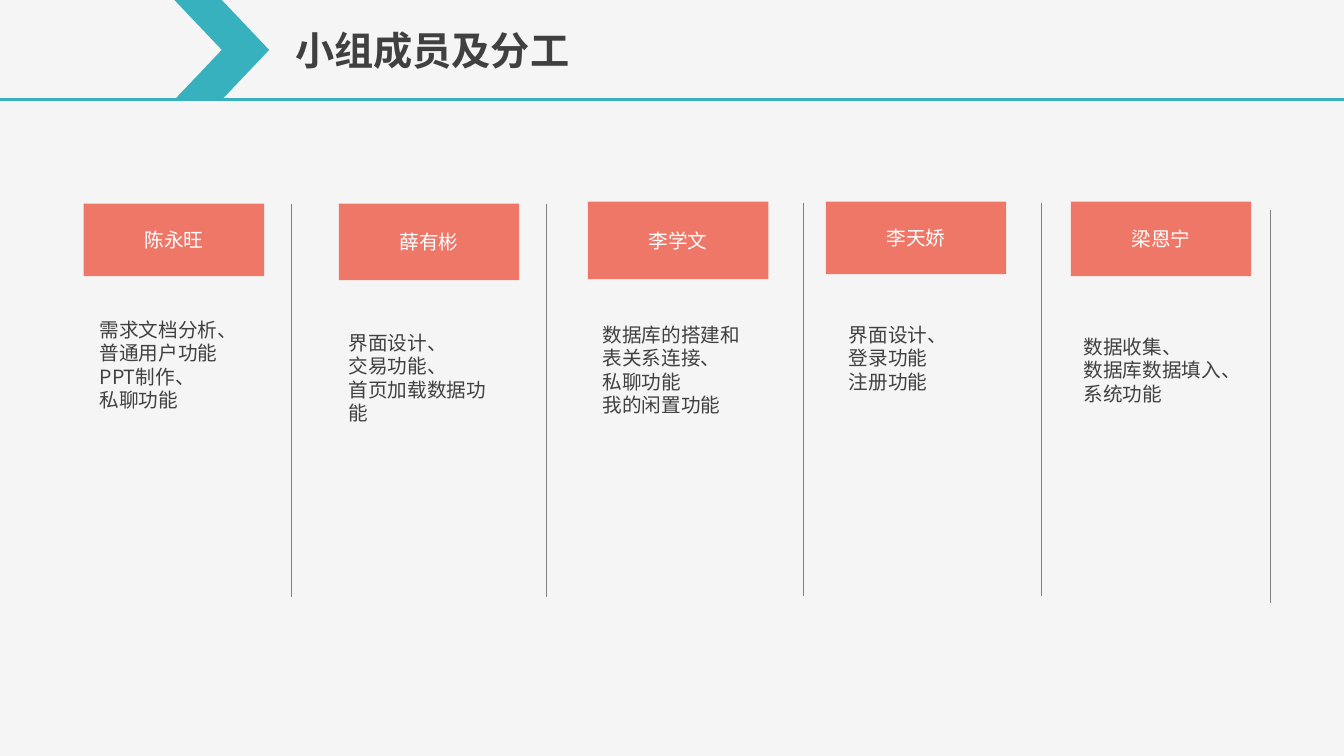
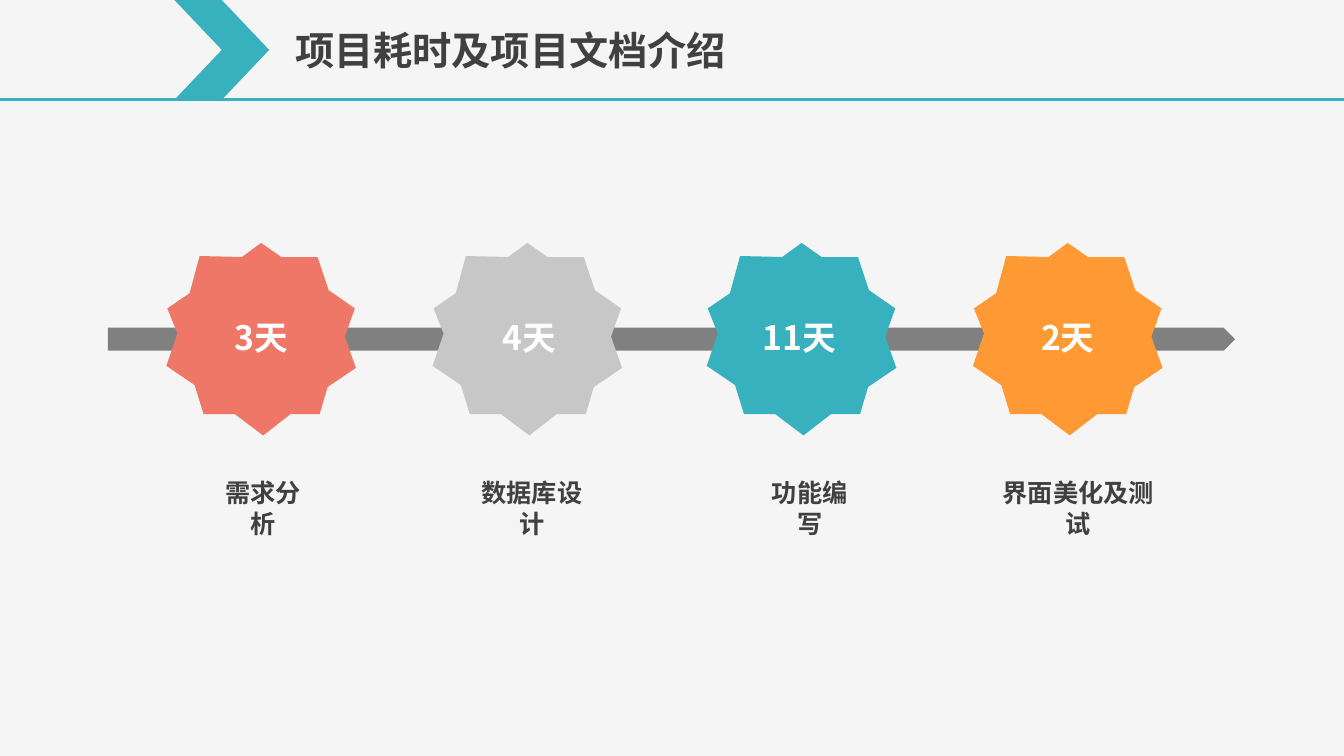
from lxml.etree import SubElement
from pptx import Presentation
from pptx.dml.color import RGBColor as RGB
from pptx.enum.shapes import MSO_CONNECTOR as Link, MSO_SHAPE as Kind
from pptx.enum.text import MSO_ANCHOR as Anchor, PP_ALIGN as Align
from pptx.oxml.ns import qn
from pptx.util import Pt

PX = 9144  # EMU in one px, 100 px to the inch
FONT = "Noto Sans CJK SC"
HUES = {
    "page": "F5F5F5", "teal": "38B1BF", "coral": "EF7768", "silver": "C7C7C7",
    "orange": "FF9933", "grey": "808080", "ink": "404040", "white": "FFFFFF",
}
STAR = [
    (95, 0), (115, 14), (151, 14), (162, 47), (188, 65), (178, 93), (189, 124),
    (161, 143), (153, 170), (124, 170), (97, 191), (69, 170), (38, 170), (29, 141),
    (1, 122), (12, 90), (2, 65), (24, 50), (34, 13), (76, 14),
]
# name, card left, top and height, text left and top, rule x and top, tasks
TEAM = [
    ("陈永旺", 83, 202, 72, 89, 310, 289, 202,
     ["需求文档分析、", "普通用户功能", "PPT制作、", "私聊功能"]),
    ("薛有彬", 336, 202, 76, 336, 323, 542, 202,
     ["界面设计、", "交易功能、", "首页加载数据功能"]),
    ("李学文", 583, 200, 77, 588, 315, 797, 201,
     ["数据库的搭建和表关系连接、", "私聊功能", "我的闲置功能"]),
    ("李天娇", 819, 200, 72, 832, 315, 1033, 201,
     ["界面设计、", "登录功能", "注册功能"]),
    ("梁恩宁", 1062, 200, 74, 1065, 327, 1260, 208,
     ["数据收集、", "数据库数据填入、系统功能"]),
]
# star left, colour, days, days left, label, label centre
STEPS = [
    (164, "coral", "3天", 179, "需求分析", 261),
    (428, "silver", "4天", 445, "数据库设计", 527),
    (700, "teal", "11天", 713, "功能编写", 803),
    (964, "orange", "2天", 979, "界面美化及测试", 1069),
]


def color(name):
    return RGB.from_string(HUES[name])


def write(frame, *lines, size=14, hue="ink", bold=False, align=Align.LEFT,
          anchor=Anchor.TOP, pad=(10, 5)):
    """Fill a text frame, one paragraph a line."""
    frame.word_wrap = True
    frame.vertical_anchor = anchor
    frame.margin_left = frame.margin_right = pad[0] * PX
    frame.margin_top = frame.margin_bottom = pad[1] * PX
    for i, line in enumerate(lines):
        para = frame.add_paragraph() if i else frame.paragraphs[0]
        para.alignment = align
        run = para.add_run()
        run.text = line
        font = run.font
        font.size, font.bold, font.name = Pt(size), bold, FONT
        font.color.rgb = color(hue)
        SubElement(run._r.get_or_add_rPr(), qn("a:ea"), typeface=FONT)


class Deck:
    def __init__(self):
        self.prs = Presentation()
        self.prs.slide_width, self.prs.slide_height = 1333 * PX, 750 * PX
        fill = self.prs.slide_master.background.fill
        fill.solid()
        fill.fore_color.rgb = color("page")

    def page(self, title):
        """Start a slide with the title band."""
        self.slide = self.prs.slides.add_slide(self.prs.slide_layouts[6])
        self.line(0, 99, 1333, 99, "teal", 2.25)
        self.shape(Kind.CHEVRON, 173, 0, 94, 99, "teal")
        self.text(283, 21, 491, 57, title, size=28, bold=True)

    def line(self, x1, y1, x2, y2, hue, width):
        link = self.slide.shapes.add_connector(
            Link.STRAIGHT, x1 * PX, y1 * PX, x2 * PX, y2 * PX)
        link.line.color.rgb = color(hue)
        link.line.width = Pt(width)
        SubElement(link._element.spPr, qn("a:effectLst"))

    def paint(self, shape, hue):
        shape.shadow.inherit = False
        shape.fill.solid()
        shape.fill.fore_color.rgb = color(hue)
        shape.line.fill.background()
        return shape

    def shape(self, kind, x, y, w, h, hue):
        return self.paint(self.slide.shapes.add_shape(
            kind, x * PX, y * PX, w * PX, h * PX), hue)

    def star(self, x, y, hue):
        dots = [(x + dx, y + dy) for dx, dy in STAR]
        pen = self.slide.shapes.build_freeform(*dots[0], scale=PX)
        pen.add_line_segments(dots[1:], close=True)
        self.paint(pen.convert_to_shape(), hue)

    def text(self, x, y, w, h, *lines, **style):
        box = self.slide.shapes.add_textbox(x * PX, y * PX, w * PX, h * PX)
        write(box.text_frame, *lines, **style)


def team(deck):
    deck.page("小组成员及分工")
    for name, x, y, h, left, top, rule, start, tasks in TEAM:
        deck.line(rule, start, rule, start + 390, "grey", 0.25)
        card = deck.shape(Kind.RECTANGLE, x, y, 179, h, "coral")
        write(card.text_frame, name, hue="white", align=Align.CENTER,
              anchor=Anchor.MIDDLE)
        deck.text(left, top, 174, 104, *tasks)


def plan(deck):
    deck.page("项目耗时及项目文档介绍")
    deck.shape(Kind.PENTAGON, 107, 325, 1118, 23, "grey")
    for x, hue, days, left, label, mid in STEPS:
        deck.star(x, 241, hue)
        deck.text(left, 307, 160, 54, days, size=24, hue="white", bold=True,
                  align=Align.CENTER, pad=(13, 7))
        width = 25 * len(label) + 18  # the last letter wraps
        deck.text(mid - width // 2, 469, width, 70, label, size=18, bold=True,
                  align=Align.CENTER)


def main():
    deck = Deck()
    team(deck)
    plan(deck)
    deck.prs.save("out.pptx")


if __name__ == "__main__":
    main()
